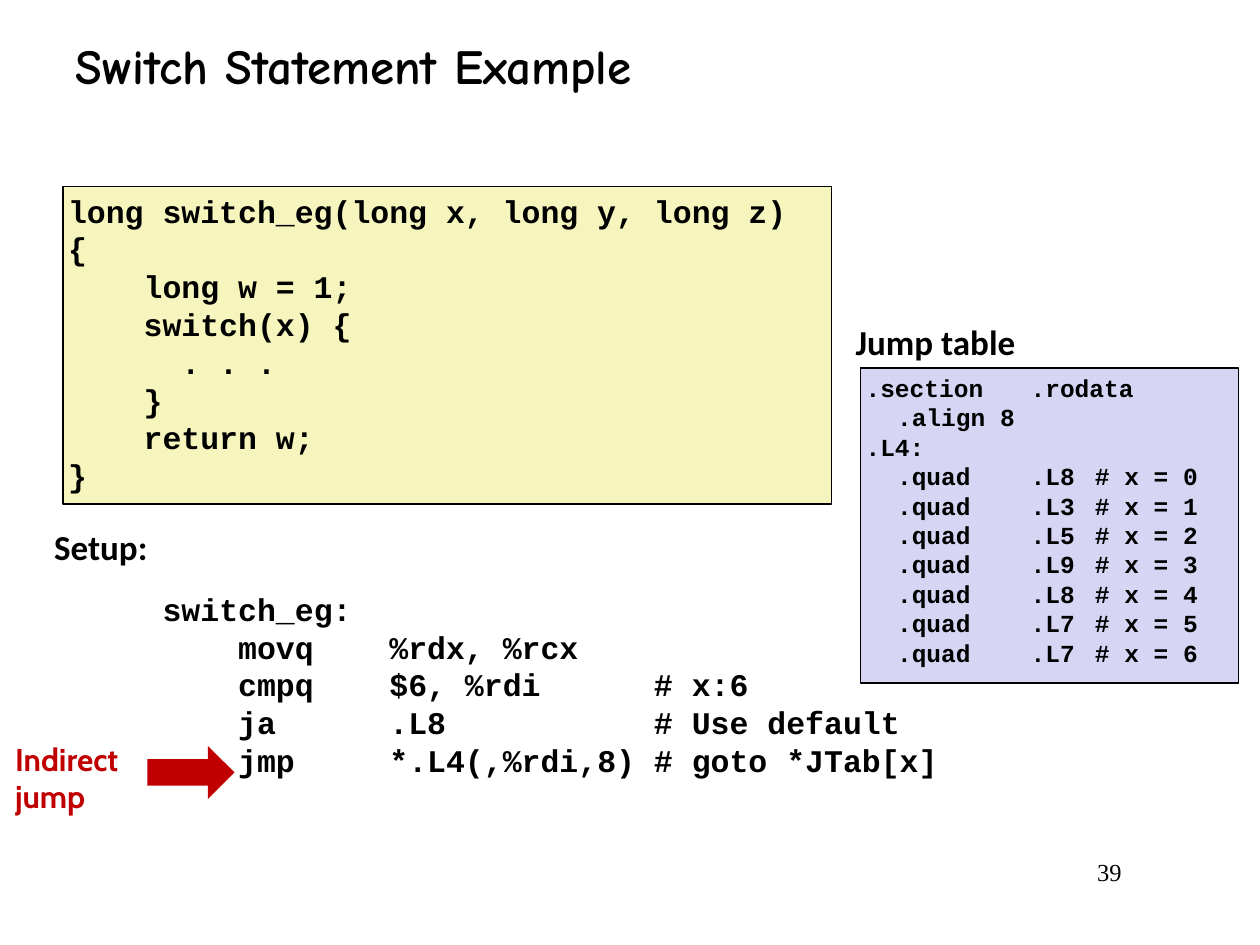
"""Build the slide that shows a switch statement with its jump table."""
from dataclasses import dataclass

from lxml.etree import SubElement
from pptx import Presentation
from pptx.dml.color import RGBColor
from pptx.enum.shapes import MSO_SHAPE as Preset
from pptx.enum.text import MSO_ANCHOR as Anchor, MSO_AUTO_SIZE as AutoSize, PP_ALIGN as Align
from pptx.oxml.ns import qn
from pptx.util import Inches, Pt

COLORS = {
    "black": "000000",
    "red": "C00000",
    "code": "F6F5BD",
    "table": "D6D6F4",
}

SWITCH_CODE = """long switch_eg(long x, long y, long z)
{
    long w = 1;
    switch(x) {
      . . .
    }
    return w;
}"""

SETUP_CODE = """switch_eg:
    movq    %rdx, %rcx
    cmpq    $6, %rdi      # x:6
    ja      .L8           # Use default
    jmp     *.L4(,%rdi,8) # goto *JTab[x]"""

JUMP_TARGETS = (8, 3, 5, 9, 8, 7, 7)
JUMP_TABLE = "\n".join(
    [".section\t.rodata", "\t.align 8", ".L4:"]
    + [f"\t.quad\t.L{target}\t# x = {case}" for case, target in enumerate(JUMP_TARGETS)]
)


@dataclass
class TextStyle:
    font: str
    size: float
    color: str = "black"
    bold: bool = True
    align: Align = Align.LEFT


@dataclass
class TextBlock:
    text: str
    bounds: tuple[float, float, float, float]
    style: TextStyle
    fill: str | None = None
    inset: float = 0.04
    wrap: bool = True
    tabs: tuple[float, ...] = ()


CODE = TextStyle("Courier New", 18)
TABLE_CODE = TextStyle("Courier New", 14)
HEADING = TextStyle("Calibri", 20)
TITLE = TextStyle("Comic Neue", 28)
CALLOUT = TextStyle("Cabin", 18, "red")
PAGE_NUMBER = TextStyle("Times New Roman", 14, bold=False, align=Align.RIGHT)

BLOCKS = (
    TextBlock(SWITCH_CODE, (0.5, 1.48, 6.1, 2.52), CODE, fill="code"),
    TextBlock("Indirect\vjump", (0.08, 5.83, 1.1, 0.69), CALLOUT, wrap=False),
    TextBlock("Jump table", (6.75, 2.5, 1.36, 0.42), HEADING, wrap=False),
    TextBlock(JUMP_TABLE, (6.83, 2.92, 3, 2.5), TABLE_CODE, fill="table", tabs=(0.25, 1.31, 1.82)),
    TextBlock("Setup:", (0.43, 4.17, 3.78, 0.42), HEADING, inset=0),
    TextBlock(SETUP_CODE, (1.25, 4.64, 6.42, 2.28), CODE),
    TextBlock("39", (7.58, 6.75, 1.42, 0.5), PAGE_NUMBER, inset=0.1),
)


def rgb(name: str) -> RGBColor:
    return RGBColor.from_string(COLORS[name])


def write_text(frame, text: str, style: TextStyle) -> None:
    frame.text = text
    for para in frame.paragraphs:
        para.alignment = style.align
        para.font.name = style.font
        para.font.size = Pt(style.size)
        para.font.bold = style.bold
        para.font.color.rgb = rgb(style.color)


def set_tabs(para, positions: tuple[float, ...]) -> None:
    properties = para._p.get_or_add_pPr()
    tab_list = SubElement(properties, qn("a:tabLst"))
    for position in positions:
        SubElement(tab_list, qn("a:tab"), pos=str(Inches(position)), algn="l")
    properties.insert(0, tab_list)


def add_preset(page, preset: Preset, bounds: tuple[float, ...], fill: str):
    shape = page.shapes.add_shape(preset, *map(Inches, bounds))
    shape.shadow.inherit = False
    shape.fill.solid()
    shape.fill.fore_color.rgb = rgb(fill)
    return shape


def add_block(page, block: TextBlock) -> None:
    if block.fill:
        box = add_preset(page, Preset.RECTANGLE, block.bounds, block.fill)
        box.line.color.rgb = rgb("black")
        box.line.width = Pt(1)
    else:
        box = page.shapes.add_textbox(*map(Inches, block.bounds))
    frame = box.text_frame
    frame.word_wrap = block.wrap
    frame.auto_size = AutoSize.NONE if block.wrap else AutoSize.SHAPE_TO_FIT_TEXT
    frame.vertical_anchor = Anchor.TOP
    frame.margin_left = frame.margin_right = Inches(block.inset)
    frame.margin_top = frame.margin_bottom = Inches(min(block.inset, 0.05))
    write_text(frame, block.text, block.style)
    if block.tabs:
        for para in frame.paragraphs:
            set_tabs(para, block.tabs)


def add_title(page, text: str) -> None:
    title = page.shapes.title
    title.left, title.top, title.width, title.height = map(Inches, (0.5, 0.13, 8.83, 0.77))
    title.text_frame.vertical_anchor = Anchor.MIDDLE
    write_text(title.text_frame, text, TITLE)


def main() -> None:
    deck = Presentation()
    deck.slide_width, deck.slide_height = Inches(10), Inches(7.5)
    page = deck.slides.add_slide(deck.slide_layouts.get_by_name("Title Only"))
    add_title(page, "Switch Statement Example")
    for block in BLOCKS:
        add_block(page, block)
    arrow = add_preset(page, Preset.RIGHT_ARROW, (1.17, 5.92, 0.69, 0.42), "red")
    arrow.line.fill.background()
    deck.save("out.pptx")


if __name__ == "__main__":
    main()
